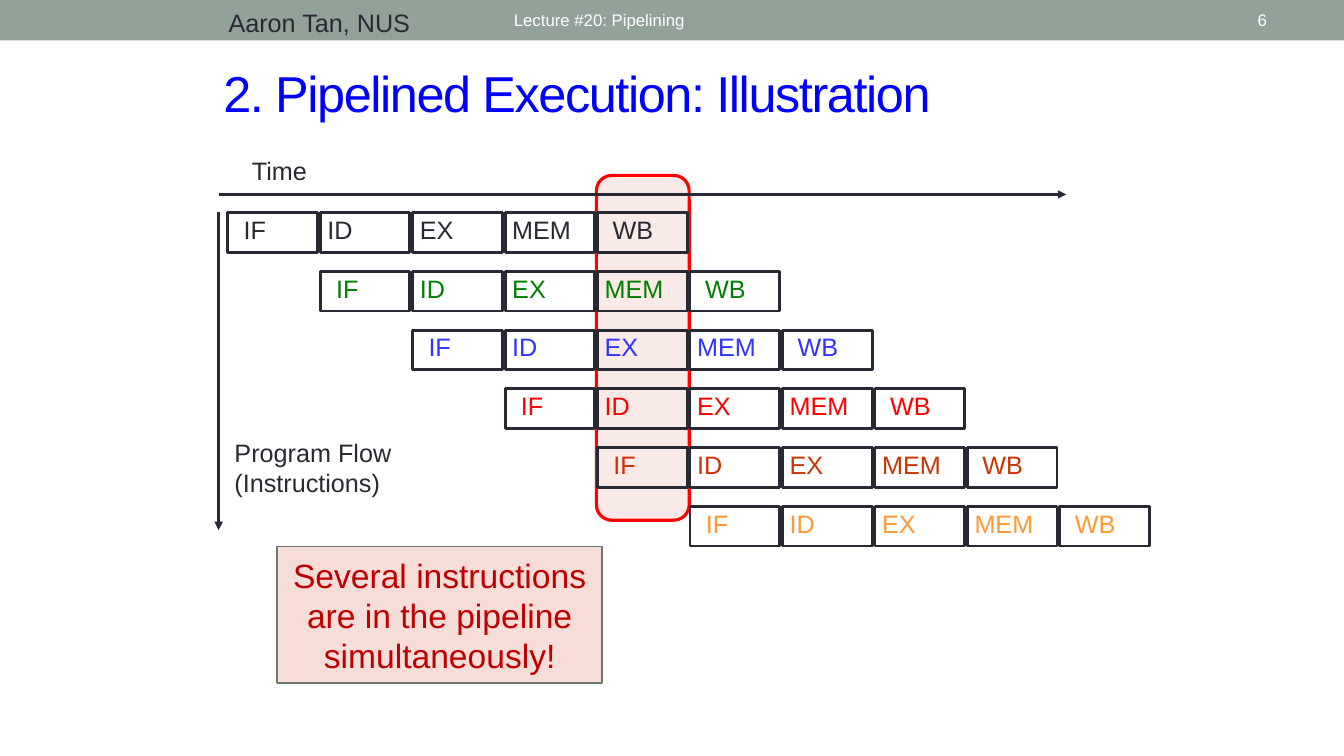
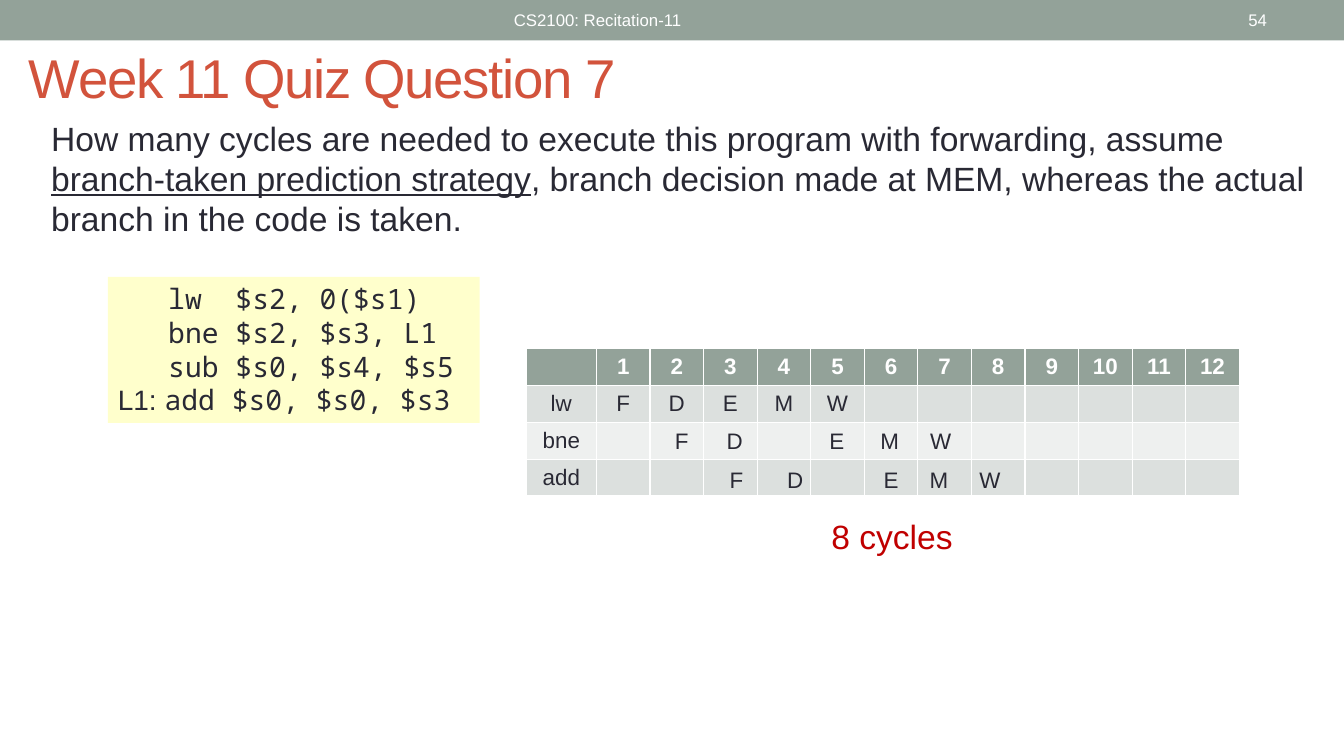
from lxml.etree import SubElement
from pptx import Presentation
from pptx.dml.color import RGBColor
from pptx.enum.shapes import MSO_CONNECTOR, MSO_SHAPE
from pptx.enum.text import MSO_ANCHOR, PP_ALIGN
from pptx.oxml.ns import qn
from pptx.util import Cm, Pt

COLORS = {
    "band": "93A299", "ink": "292934", "white": "FFFFFF", "blue": "0000FF",
    "brick": "D2533C", "red": "FF0000", "dark red": "C00000", "pink": "F6DDD8",
    "callout line": "6D7871", "code": "FFFFCC", "odd row": "DCE0DE", "even row": "EEF0EF",
    "green": "008000", "violet": "3333FF", "rust": "CC3300", "orange": "FF9933",
}
COLORS = {name: RGBColor.from_string(value) for name, value in COLORS.items()}


def write(shape, text, size, color="ink", align=PP_ALIGN.LEFT, anchor=MSO_ANCHOR.TOP, font="Arial"):
    frame = shape.text_frame
    frame.text = text
    frame.word_wrap = True
    frame.vertical_anchor = anchor
    for paragraph in frame.paragraphs:
        paragraph.alignment = align
        paragraph.font.name = font
        paragraph.font.size = Pt(size)
        paragraph.font.color.rgb = COLORS[color]
    return frame


def add_slide(footer, number, title, title_box, title_size, title_color):
    slide = presentation.slides.add_slide(presentation.slide_layouts[6])
    band = slide.shapes.add_shape(MSO_SHAPE.RECTANGLE, 0, 0, presentation.slide_width, Cm(1.02))
    band.shadow.inherit = False
    band.fill.solid()
    band.fill.fore_color.rgb = COLORS["band"]
    band.line.fill.background()
    for left, width, text, align in [(12.7, 15.24, footer, PP_ALIGN.LEFT),
                                     (29.54, 2.64, number, PP_ALIGN.RIGHT)]:
        box = slide.shapes.add_textbox(Cm(left), Cm(0.05), Cm(width), Cm(0.91))
        write(box, text, 12, "white", align, MSO_ANCHOR.MIDDLE)
    box = slide.shapes.add_textbox(*[Cm(length) for length in title_box])
    frame = write(box, title, title_size, title_color, anchor=MSO_ANCHOR.MIDDLE)
    frame.paragraphs[0].runs[0]._r.get_or_add_rPr().set("spc", "-100")
    return slide


presentation = Presentation()
presentation.slide_width = Cm(33.87)
presentation.slide_height = Cm(19.05)

slide = add_slide("Lecture #20: Pipelining", "6", "2. Pipelined Execution: Illustration",
                  (5.38, 1.45, 23.93, 1.78), 36, "blue")

highlight = slide.shapes.add_shape(MSO_SHAPE.ROUNDED_RECTANGLE, Cm(15.03), Cm(4.42), Cm(2.34), Cm(8.69))
highlight.shadow.inherit = False
highlight.fill.solid()
highlight.fill.fore_color.rgb = COLORS["pink"]
fill_color = highlight._element.spPr.find(qn("a:solidFill"))[0]
SubElement(fill_color, qn("a:alpha")).set("val", "60000")
highlight.line.color.rgb = COLORS["red"]
highlight.line.width = Pt(2.25)

stages = [("IF", 0.4), ("ID", 0.18), ("EX", 0.18), ("MEM", 0.18), ("WB", 0.38)]
instruction_colors = ["ink", "green", "violet", "red", "rust", "orange"]
for row, color in enumerate(instruction_colors):
    for column, (stage, inset) in enumerate(stages):
        cell = slide.shapes.add_shape(MSO_SHAPE.RECTANGLE, Cm(5.74 + 2.33 * (row + column)),
                                      Cm(5.36 + 1.48 * row), Cm(2.26), Cm(1))
        cell.shadow.inherit = False
        cell.fill.background()
        cell.line.color.rgb = COLORS["ink"]
        cell.line.width = Pt(2)
        frame = write(cell, stage, 18, color, anchor=MSO_ANCHOR.MIDDLE)
        frame.margin_left = Cm(inset)
        frame.margin_right = frame.margin_top = 0
        frame.margin_bottom = Cm(0.16)

for end_x, end_y, start_y in [(5.51, 13.36, 5.33), (26.87, 4.9, 4.9)]:
    axis = slide.shapes.add_connector(MSO_CONNECTOR.STRAIGHT, Cm(5.51), Cm(start_y), Cm(end_x), Cm(end_y))
    axis.line.color.rgb = COLORS["ink"]
    axis.line.width = Pt(2)
    SubElement(axis.line._get_or_add_ln(), qn("a:tailEnd")).set("type", "triangle")
    SubElement(axis._element.spPr, qn("a:effectLst"))

for left, top, width, height, text in [(5.51, 0.05, 8.05, 0.91, "Aaron Tan, NUS"),
                                       (6.1, 3.78, 1.91, 1.02, "Time"),
                                       (5.66, 10.9, 4.6, 1.78, "Program Flow\n(Instructions)")]:
    write(slide.shapes.add_textbox(Cm(left), Cm(top), Cm(width), Cm(height)), text, 18)

callout = slide.shapes.add_shape(MSO_SHAPE.RECTANGLE, Cm(6.98), Cm(13.77), Cm(8.2), Cm(3.45))
callout.shadow.inherit = False
callout.fill.solid()
callout.fill.fore_color.rgb = COLORS["pink"]
callout.line.color.rgb = COLORS["callout line"]
callout.line.width = Pt(1.25)
write(callout, "Several instructions are in the pipeline simultaneously!", 24, "dark red",
      PP_ALIGN.CENTER, MSO_ANCHOR.MIDDLE)

slide = add_slide("CS2100: Recitation-11", "54", "Week 11 Quiz Question 7",
                  (0.48, 0.97, 17.35, 1.93), 39, "brick")

question = slide.shapes.add_textbox(Cm(1.04), Cm(2.84), Cm(32.59), Cm(3.33))
frame = write(question, "How many cycles are needed to execute this program with forwarding, assume ", 24)
strategy = frame.paragraphs[0].add_run()
strategy.text = "branch-taken prediction strategy"
strategy.font.underline = True
frame.paragraphs[0].add_run().text = (
    ", branch decision made at MEM, whereas the actual branch in the code is taken.")

code = slide.shapes.add_textbox(Cm(2.72), Cm(6.98), Cm(9.37), Cm(3.68))
code.fill.solid()
code.fill.fore_color.rgb = COLORS["code"]
lines = ["lw  $s2, 0($s1)", "bne $s2, $s3, L1", "sub $s0, $s4, $s5", "L1: "]
frame = write(code, "\n".join(lines), 20, font="Noto Sans Mono")
for paragraph in frame.paragraphs[:3]:
    paragraph._p.get_or_add_pPr().set("marL", str(Cm(1.27)))
labelled = frame.paragraphs[3]
labelled.runs[0].font.name = "Arial"
labelled.add_run().text = "add $s0, $s0, $s3"

rows = [["", *map(str, range(1, 13))], ["lw", *"FDEMW"], ["bne"], ["add"]]
row_fills = ["band", "odd row", "even row", "odd row"]
table = slide.shapes.add_table(4, 13, Cm(13.26), Cm(8.78), Cm(17.89), Cm(3.72)).table
for index, column in enumerate(table.columns):
    column.width = Cm(1.35 if index else 1.77)
for index, (texts, fill) in enumerate(zip(rows, row_fills)):
    table.rows[index].height = Cm(0.93)
    for column in range(13):
        cell = table.cell(index, column)
        cell.fill.solid()
        cell.fill.fore_color.rgb = COLORS[fill]
        cell.margin_left = cell.margin_right = cell.margin_top = cell.margin_bottom = Cm(0.05)
        cell.vertical_anchor = MSO_ANCHOR.MIDDLE
        paragraph = cell.text_frame.paragraphs[0]
        paragraph.text = texts[column] if column < len(texts) else ""
        paragraph.alignment = PP_ALIGN.CENTER
        paragraph.font.name = "Arial"
        paragraph.font.size = Pt(16)
        paragraph.font.bold = index == 0
        paragraph.font.color.rgb = COLORS["ink" if index else "white"]

for left, top, stops in [(16.76, 10.64, [1.3, 3.89, 5.18, 6.43]),
                         (18.14, 11.63, [1.45, 3.88, 5.04, 6.29])]:
    box = slide.shapes.add_textbox(Cm(left), Cm(top), Cm(8.1), Cm(0.94))
    paragraph = write(box, "\t".join("FDEMW"), 16).paragraphs[0]
    properties = paragraph._p.get_or_add_pPr()
    tabs = properties.makeelement(qn("a:tabLst"))
    properties.insert(0, tabs)
    for stop in stops:
        SubElement(tabs, qn("a:tab"), pos=str(Cm(stop)), algn="l")

answer = slide.shapes.add_textbox(Cm(20.7), Cm(12.88), Cm(4.72), Cm(1.27))
write(answer, "8 cycles", 24, "dark red")

presentation.save("out.pptx")
